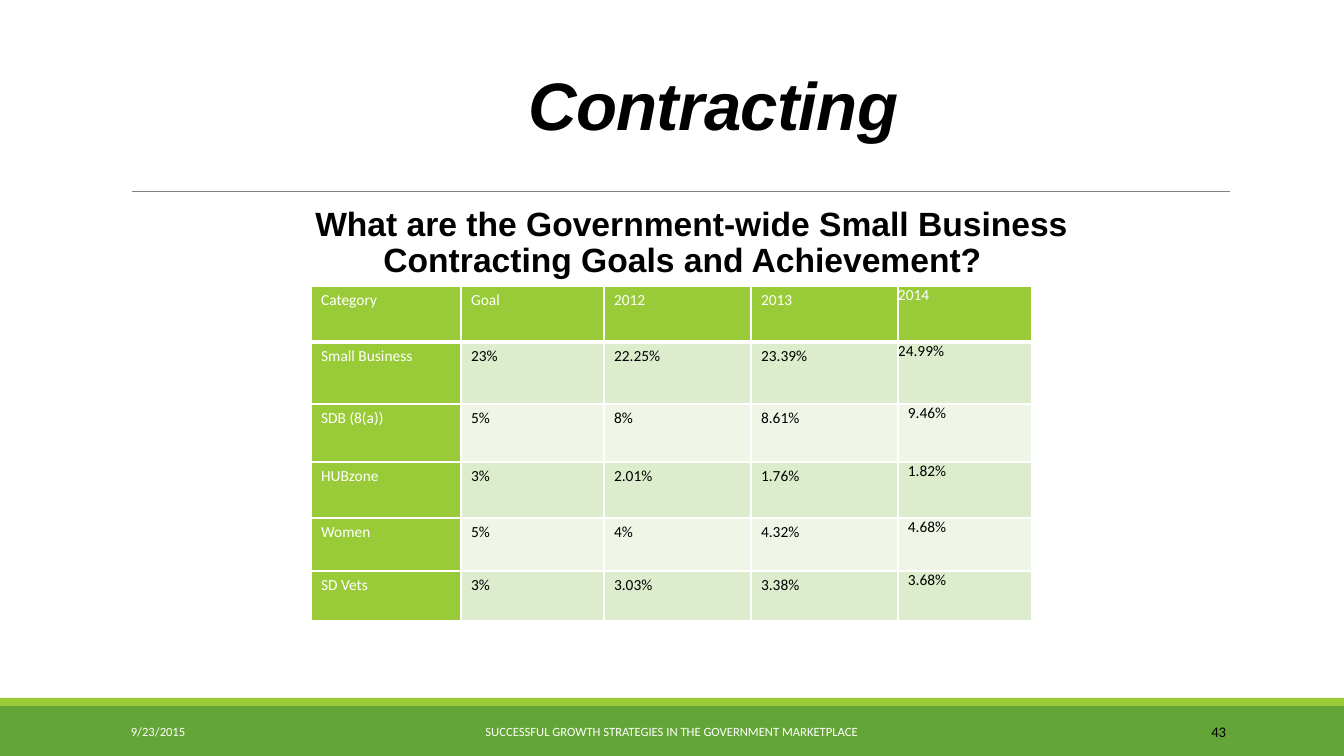
from lxml import etree
from pptx import Presentation
from pptx import util as u
from pptx.dml.color import RGBColor
from pptx.enum import shapes, text
from pptx.oxml import ns

PX = 914400 / 100.8
LIME, GREEN, WHITE, BLACK = "99CB38", "63A537", "FFFFFF", "000000"


def px(*lengths):
    return [u.Emu(round(n * PX)) for n in lengths]


def write(frame, words, size, font, color, align, anchor, bold=False):
    frame.word_wrap = True
    frame.vertical_anchor = anchor
    paragraph = frame.paragraphs[0]
    paragraph.alignment = align
    run = paragraph.add_run()
    run.text = words
    run.font.size = u.Pt(size)
    run.font.name = font
    run.font.bold = bold
    run.font.color.rgb = RGBColor.from_string(color)
    return paragraph


LEFT, CENTER, RIGHT = text.PP_ALIGN.LEFT, text.PP_ALIGN.CENTER, text.PP_ALIGN.RIGHT
TOP, MIDDLE, BOTTOM = text.MSO_ANCHOR.TOP, text.MSO_ANCHOR.MIDDLE, text.MSO_ANCHOR.BOTTOM

deck = Presentation()
deck.slide_width, deck.slide_height = px(1344, 756)
slide = deck.slides.add_slide(deck.slide_layouts[5])

# Footer bands
for top, height, color in [(706, 50, GREEN), (698, 8, LIME)]:
    band = slide.shapes.add_shape(shapes.MSO_SHAPE.RECTANGLE, *px(0, top, 1344, height))
    band.shadow.inherit = False
    band.fill.solid()
    band.fill.fore_color.rgb = RGBColor.from_string(color)
    band.line.fill.background()

# Rule under the title
rule = slide.shapes.add_connector(shapes.MSO_CONNECTOR.STRAIGHT, *px(132, 191, 1230, 191))
rule.line.color.rgb = RGBColor.from_string("808080")
rule.line.width = u.Pt(0.5)
etree.SubElement(rule._element.spPr, ns.qn("a:effectLst"))

# Title, pushed right of centre by its left inset
title = slide.shapes.title
title.left, title.top, title.width, title.height = px(118, -11, 1109, 160)
heading = write(title.text_frame, "Contracting", 48, "Arial", BLACK, CENTER, BOTTOM, True)
title.text_frame.auto_size = text.MSO_AUTO_SIZE.NONE
title.text_frame.margin_left, title.text_frame.margin_bottom = px(92, 5)
heading.line_spacing = 0.85
heading.runs[0].font.italic = True
heading.runs[0].font._element.set("spc", "-50")

# Question, with its first line indented
question_frame = slide.shapes.add_textbox(*px(259, 202, 865, 478)).text_frame
question_frame.margin_left, question_frame.margin_right = px(0, 18)
question = write(question_frame,
                 "What are the Government-wide Small Business Contracting Goals and Achievement?",
                 24, "Arial", BLACK, CENTER, TOP, True)
question.line_spacing = 0.9
question._p.get_or_add_pPr().set("indent", str(px(18)[0]))

# Goals and achievement table
goals = [
    ["Category", "Goal", "2012", "2013", "2014"],
    ["Small Business", "23%", "22.25%", "23.39%", "24.99%"],
    ["SDB (8(a))", "5%", "8%", "8.61%", "9.46%"],
    ["HUBzone", "3%", "2.01%", "1.76%", "1.82%"],
    ["Women", "5%", "4%", "4.32%", "4.68%"],
    ["SD Vets", "3%", "3.03%", "3.38%", "3.68%"],
]
col_widths = [150, 143, 147, 147, 134]
row_heights = [56, 62, 58, 56, 53, 50]
table = slide.shapes.add_table(len(goals), len(col_widths),
                               *px(311, 286, sum(col_widths), sum(row_heights))).table
for column, width in zip(table.columns, px(*col_widths)):
    column.width = width
for row, height in zip(table.rows, px(*row_heights)):
    row.height = height

for r, values in enumerate(goals):
    for c, value in enumerate(values):
        cell = table.cell(r, c)
        is_header = r == 0 or c == 0
        write(cell.text_frame, value, 11, "Calibri", WHITE if is_header else BLACK, LEFT, TOP)
        if c == 4:
            inset = 10 if r > 1 else 0
            cell.margin_left, cell.margin_top, cell.margin_right, cell.margin_bottom = px(inset, 0, 0, 0)
        for side in "LRTB":
            width = 3 if r == 0 and side == "B" else 1
            border = etree.SubElement(cell._tc.get_or_add_tcPr(), ns.qn(f"a:ln{side}"),
                                      w=str(u.Pt(width)))
            border_fill = etree.SubElement(border, ns.qn("a:solidFill"))
            etree.SubElement(border_fill, ns.qn("a:srgbClr"), val=WHITE)
        cell.fill.solid()
        cell.fill.fore_color.rgb = RGBColor.from_string(
            LIME if is_header else "DEECCE" if r % 2 else "EFF6E8")

# Date, footer and slide number
for words, left, width, size, color, align in [
    ("9/23/2015", 121, 272, 9, WHITE, LEFT),
    ("SUCCESSFUL GROWTH STRATEGIES IN THE GOVERNMENT MARKETPLACE", 406, 531, 9, WHITE, CENTER),
    ("43", 1092, 144, 10.5, BLACK, RIGHT),
]:
    footer = slide.shapes.add_textbox(*px(left, 712, width, 40))
    write(footer.text_frame, words, size, "Calibri", color, align, MIDDLE)

deck.save("out.pptx")
